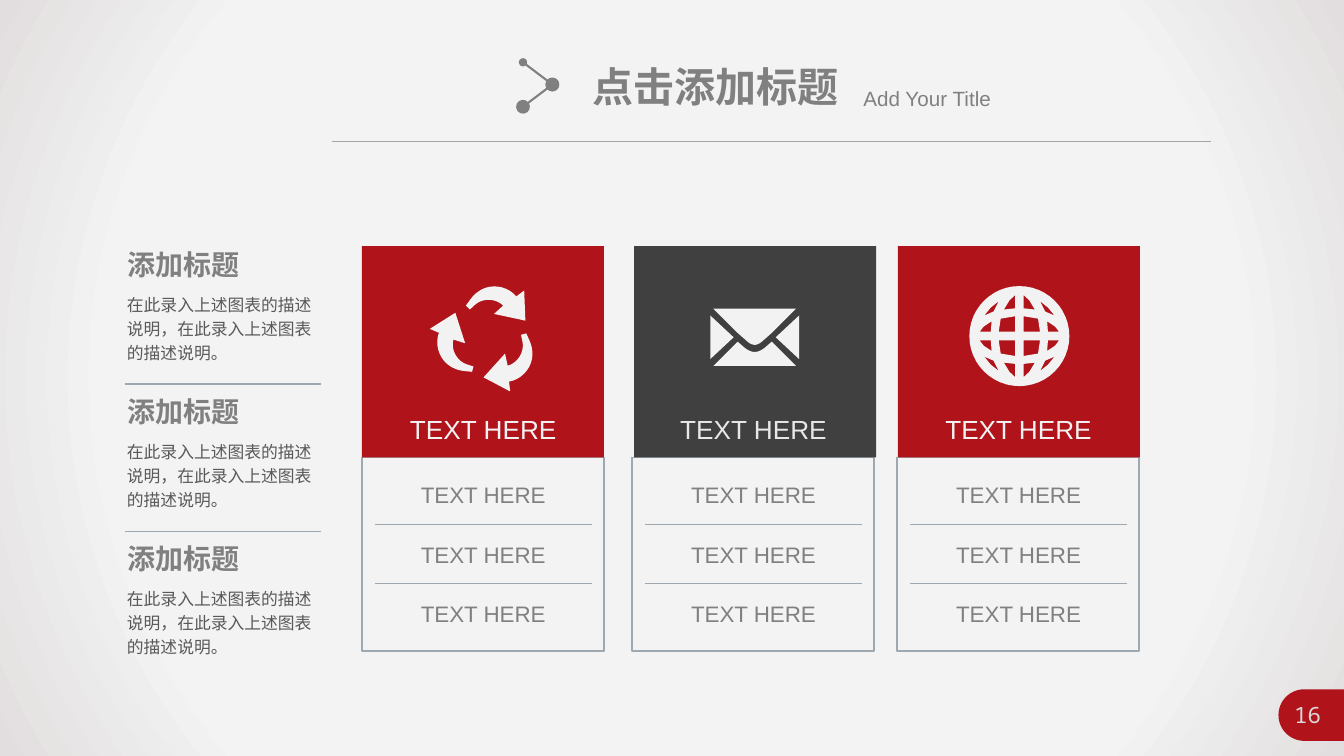
from dataclasses import dataclass
from math import cos, pi, sin
from typing import Any, Optional

from lxml.etree import SubElement
from pptx import Presentation
from pptx.dml.color import RGBColor
from pptx.enum.shapes import MSO_CONNECTOR as Link, MSO_SHAPE as Preset
from pptx.enum.text import MSO_AUTO_SIZE as Fit, PP_ALIGN as Align
from pptx.oxml import parse_xml
from pptx.oxml.ns import nsdecls, qn
from pptx.util import Cm, Pt

Point = tuple[float, float]
Contour = list[Point]
rgb = RGBColor.from_string


@dataclass(frozen=True)
class Theme:
    red: RGBColor = rgb("B01319")
    charcoal: RGBColor = rgb("404040")
    white: RGBColor = rgb("F2F2F2")
    pale: RGBColor = rgb("E7E7E7")
    grey: RGBColor = rgb("808080")
    body: RGBColor = rgb("595959")
    rule: RGBColor = rgb("9DA8B1")
    title_rule: RGBColor = rgb("A6A6A6")
    number: RGBColor = rgb("D9D9D9")
    latin: str = "Arial"
    chinese: str = "Noto Sans CJK SC"
    mono: str = "Noto Sans Mono"
    title_size: float = 29.3
    heading_size: float = 20
    label_size: float = 18.7
    row_size: float = 16
    subtitle_size: float = 14.7
    body_size: float = 12


@dataclass(frozen=True)
class Area:
    left: float
    top: float
    width: float
    height: float

    def emu(self) -> list[Cm]:
        return [Cm(v) for v in (self.left, self.top, self.width, self.height)]


@dataclass(frozen=True)
class Card:
    frame_left: float
    head_left: float
    fill: RGBColor
    label: RGBColor
    icon: list[Contour]
    icon_center: Point


def bezier(start: Point, pull_a: Point, pull_b: Point, end: Point) -> Contour:
    steps = [i / 10 for i in range(11)]
    return [tuple((1 - t) ** 3 * a + 3 * t * (1 - t) ** 2 * b + 3 * t * t * (1 - t) * c + t ** 3 * d
                  for a, b, c, d in zip(start, pull_a, pull_b, end)) for t in steps]


def arc(radius: float, start: float, end: float) -> Contour:
    angles = [start + (end - start) * i / 48 for i in range(49)]
    return [(radius * cos(a), radius * sin(a)) for a in angles]


def rotate(contour: Contour, angle: float) -> Contour:
    return [(x * cos(angle) - y * sin(angle), x * sin(angle) + y * cos(angle)) for x, y in contour]


def flip(contour: Contour, across: int, down: int = 1) -> Contour:
    return [(x * across, y * down) for x, y in contour]


def recycle_icon() -> list[Contour]:
    arrow = [(9.1, -11.7), *bezier((7.1, -10.2), (4.8, -13), (0.3, -13.7), (-2.8, -11.2)),
             *bezier((-2.8, -11.2), (-4.1, -10.2), (-4.8, -8.9), (-5.6, -7.9)), (-4.6, -6.9),
             *bezier((-3.3, -8.1), (-1.3, -9.9), (2, -9.7), (3.8, -7.9)), (1.5, -5.8), (9.4, -4.1)]
    return [rotate(arrow, turn * 2 * pi / 3) for turn in range(3)]


def mail_icon() -> list[Contour]:
    side = [(-11.2, -5.5), (-11.2, 5.5), (-5.3, 0)]
    flap = [(-10.4, -7.2), (-4.3, -1.1), *bezier((-1.8, 1.1), (-1.1, 1.7), (-0.5, 1.9), (0, 1.9))]
    base = [(-10.4, 7.2), (-4.3, 1.1), *bezier((-2.8, 2.4), (-1.9, 3.2), (-0.9, 3.7), (0, 3.7))]
    return [side, flip(side, -1)] + [half + flip(half, -1)[::-1] for half in (flap, base)]


def globe_icon() -> list[Contour]:
    quarter = [[(1.1, -10.3), (1.1, -7), (3.9, -6.7), (3.4, -7.5), (2.5, -9)],
               [(1.1, -5), (1.1, -1.1), (5.2, -1.1), (4.7, -4.4)],
               [(7.2, -1.1), (10, -1.1), (9, -2.4), (7.5, -3.4), (7, -3.7)],
               [(6.5, -6.2), (8.8, -5.2), (9, -5), (7.2, -7.2), (5.2, -8.8)]]
    return [arc(12.6, 0, 2 * pi)] + [flip(cell, across, down) for cell in quarter
                                     for across in (1, -1) for down in (1, -1)]


def paint(shape: Any, fill: Optional[RGBColor], outline: Optional[RGBColor] = None) -> Any:
    shape.shadow.inherit = False
    if fill is None:
        shape.fill.background()
    else:
        shape.fill.solid()
        shape.fill.fore_color.rgb = fill
    if outline is None:
        shape.line.fill.background()
    else:
        shape.line.color.rgb, shape.line.width = outline, Pt(1)
    return shape


def add_box(slide: Any, area: Area, fill: Optional[RGBColor], outline: Optional[RGBColor] = None) -> Any:
    return paint(slide.shapes.add_shape(Preset.RECTANGLE, *area.emu()), fill, outline)


def add_outline(slide: Any, contours: list[Contour], center: Point, fill: RGBColor) -> None:
    placed = [[(Cm(center[0] + x / 10), Cm(center[1] + y / 10)) for x, y in contour]
              for contour in contours]
    builder = slide.shapes.build_freeform(*placed[0][0])
    for index, contour in enumerate(placed):
        if index:
            builder.move_to(*contour[0])
        builder.add_line_segments(contour[1:], close=True)
    paint(builder.convert_to_shape(), fill)


def add_rule(slide: Any, start: Point, end: Point, color: RGBColor, width: float = 1,
             dots: Optional[dict[str, str]] = None) -> None:
    rule = slide.shapes.add_connector(Link.STRAIGHT, *[Cm(v) for v in (*start, *end)])
    rule.line.color.rgb, rule.line.width = color, Pt(width)
    props = rule._element.spPr
    for tag, size in (dots or {}).items():
        SubElement(props.find(qn("a:ln")), qn(tag), type="oval", w=size, len=size)
    SubElement(props, qn("a:effectLst"))


def add_text(slide: Any, area: Area, text: str, size: float, color: RGBColor, face: str,
             bold: bool = False, wrap: bool = True, align: Align = Align.LEFT,
             spacing: float = 1) -> None:
    frame = slide.shapes.add_textbox(*area.emu()).text_frame
    paragraph = frame.paragraphs[0]
    run = paragraph.add_run()
    run.text = text
    formats = {frame: {"word_wrap": wrap, "auto_size": Fit.SHAPE_TO_FIT_TEXT},
               paragraph: {"alignment": align, "line_spacing": spacing},
               run.font: {"name": face, "size": Pt(size), "bold": bold}}
    for target, values in formats.items():
        for name, value in values.items():
            setattr(target, name, value)
    run.font.color.rgb = color
    SubElement(run._r.rPr, qn("a:ea"), typeface=Theme.chinese)


def add_background(slide: Any) -> None:
    props = add_box(slide, Area(0, 0, 33.87, 19.05), None)._element.spPr
    stops = "".join(f'<a:gs pos="{at}000"><a:srgbClr val="{color}"/></a:gs>'
                    for at, color in ((0, "F5F5F5"), (73, "F3F3F3"), (100, "E2DEDF")))
    props.replace(props.find(qn("a:noFill")), parse_xml(
        f'<a:gradFill {nsdecls("a")}><a:gsLst>{stops}</a:gsLst><a:path path="circle">'
        '<a:fillToRect l="50000" t="50000" r="50000" b="50000"/></a:path></a:gradFill>'))


def add_header(slide: Any, theme: Theme) -> None:
    add_rule(slide, (8.36, 3.56), (30.53, 3.56), theme.title_rule, 0.5)
    joint = (13.92, 2.13)
    add_rule(slide, (13.18, 1.57), joint, theme.grey, 1.5, {"a:headEnd": "med", "a:tailEnd": "lg"})
    add_rule(slide, joint, (13.18, 2.69), theme.grey, 1.5, {"a:headEnd": "lg", "a:tailEnd": "lg"})
    add_text(slide, Area(14.68, 1.42, 6.78, 1.5), "点击添加标题", theme.title_size, theme.grey,
             theme.latin, bold=True, wrap=False)
    add_text(slide, Area(21.51, 2.03, 6.4, 0.89), "Add Your Title", theme.subtitle_size,
             theme.grey, theme.latin)


def add_notes_column(slide: Any, theme: Theme) -> None:
    for index in range(3):
        drop = index * 3.71
        add_text(slide, Area(2.97, 6.1 + drop, 3.35, 1.12), "添加标题", theme.heading_size,
                 theme.grey, theme.chinese, bold=True, wrap=False)
        add_text(slide, Area(2.95, 7.19 + drop, 5.31, 2.11),
                 "在此录入上述图表的描述说明，在此录入上述图表的描述说明。",
                 theme.body_size, theme.body, theme.chinese, spacing=1.2)
        if index < 2:
            add_rule(slide, (3.15, 9.68 + drop), (8.1, 9.68 + drop), theme.rule)


def add_card(slide: Any, card: Card, theme: Theme) -> None:
    left, width = card.frame_left + 0.33, 5.46
    add_box(slide, Area(card.frame_left, 11.53, 6.1, 4.88), None, theme.rule)
    for index in range(3):
        drop = index * 1.5
        add_text(slide, Area(left, 12.01 + drop, width, 0.94), "TEXT HERE", theme.row_size,
                 theme.grey, theme.latin, align=Align.CENTER)
        if index < 2:
            add_rule(slide, (left, 13.21 + drop), (left + width, 13.21 + drop), theme.rule)
    add_box(slide, Area(card.head_left, 6.2, 6.1, 5.33), card.fill)
    add_outline(slide, card.icon, card.icon_center, theme.white)
    add_text(slide, Area(left, 10.29, width, 1.07), "TEXT HERE", theme.label_size, card.label,
             theme.latin, align=Align.CENTER)


def add_page_number(slide: Any, theme: Theme) -> None:
    tab = [*arc(6.5, pi / 2, 3 * pi / 2), (10, -6.5), (10, 6.5)]
    add_outline(slide, [tab], (32.87, 18.02), theme.red)
    add_text(slide, Area(32.28, 17.55, 1.35, 0.94), "16", theme.row_size, theme.number,
             theme.mono, align=Align.CENTER)


def main() -> None:
    """Build the three-card slide and save it."""
    theme = Theme()
    deck = Presentation()
    deck.slide_width, deck.slide_height = Cm(33.87), Cm(19.05)
    slide = deck.slides.add_slide(deck.slide_layouts[6])
    cards = [Card(9.12, 9.12, theme.red, theme.white, recycle_icon(), (12.3, 8.49)),
             Card(15.93, 15.98, theme.charcoal, theme.pale, mail_icon(), (19.02, 8.5)),
             Card(22.61, 22.63, theme.red, theme.white, globe_icon(), (25.69, 8.47))]
    add_background(slide)
    add_header(slide, theme)
    add_notes_column(slide, theme)
    for card in cards:
        add_card(slide, card, theme)
    add_page_number(slide, theme)
    deck.save("out.pptx")


if __name__ == "__main__":
    main()
